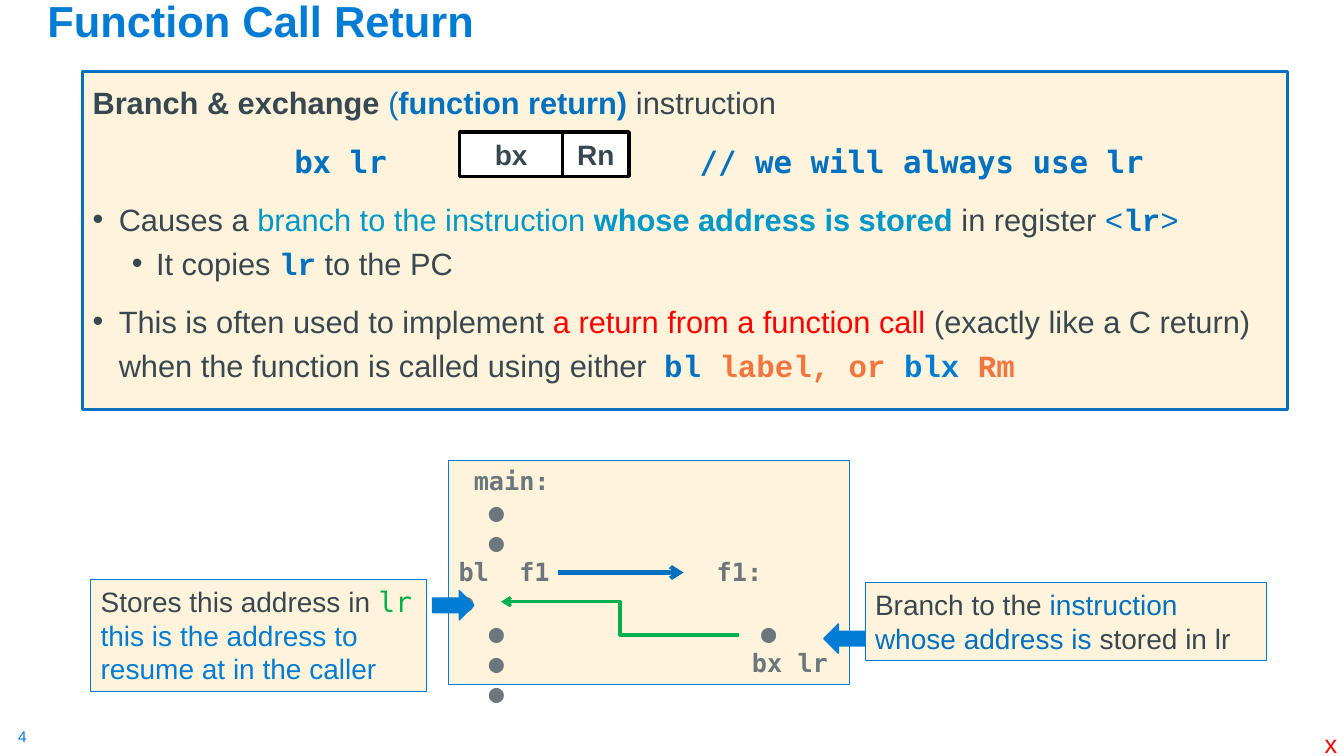
import pptx
import pptx.dml.color
import pptx.enum.shapes
import pptx.enum.text
import pptx.oxml
import pptx.oxml.ns
import pptx.util

Inches = pptx.util.Inches
Pt = pptx.util.Pt
RGBColor = pptx.dml.color.RGBColor
Shape = pptx.enum.shapes.MSO_SHAPE
Connector = pptx.enum.shapes.MSO_CONNECTOR
Anchor = pptx.enum.text.MSO_ANCHOR
Align = pptx.enum.text.PP_ALIGN

BLUE = RGBColor(0x00, 0x7C, 0xD5)
DEEP_BLUE = RGBColor(0x00, 0x70, 0xC0)
TEAL = RGBColor(0x00, 0x98, 0xC9)
SLATE = RGBColor(0x38, 0x48, 0x51)
GRAY = RGBColor(0x6B, 0x76, 0x7D)
CREAM = RGBColor(0xFF, 0xF4, 0xDB)
ORANGE = RGBColor(0xF3, 0x75, 0x3F)
GREEN = RGBColor(0x00, 0xB0, 0x50)
RED = RGBColor(0xFF, 0x00, 0x00)
WHITE = RGBColor(0xFF, 0xFF, 0xFF)
BLACK = RGBColor(0x00, 0x00, 0x00)

SANS = "Arial"
COURIER = "Courier New"
MONO = "DejaVu Sans Mono"


def add_element(parent, tag, **attributes):
    """Append a drawing element with the given attributes."""
    child = pptx.oxml.parse_xml(f"<a:{tag} {pptx.oxml.ns.nsdecls('a')}/>")
    for name, value in attributes.items():
        child.set(name, str(value))
    parent.append(child)
    return child


def add_runs(para, size, runs):
    """Add (text, colour, bold, font) runs to a paragraph."""
    for text, color, bold, font in runs:
        span = para.add_run()
        span.text = text
        span.font.size = Pt(size)
        span.font.name = font
        span.font.bold = bold
        span.font.color.rgb = color


def next_para(frame):
    """Return the empty first paragraph or a new one."""
    first = frame.paragraphs[0]
    return frame.add_paragraph() if first.runs else first


def write(frame, size, runs, align=Align.LEFT, tabs=(), bullet=None, level=0, spacing=1.0, before=0):
    """Write one paragraph with its tab stops or its (margin, indent) bullet."""
    para = next_para(frame)
    para.alignment = align
    para.level = level
    para.line_spacing = spacing
    para.space_before = Pt(before)
    properties = para._p.get_or_add_pPr()
    if bullet:
        margin, indent = bullet
        properties.set("marL", str(Inches(margin)))
        properties.set("indent", str(Inches(indent)))
        add_element(properties, "buFont", typeface=SANS)
        add_element(properties, "buChar", char="•")
    if tabs:
        stops = add_element(properties, "tabLst")
        for stop in tabs:
            add_element(stops, "tab", pos=Inches(stop), algn="l")
    add_runs(para, size, runs)


def add_box(page, left, top, width, height, fill, line, weight, kind=Shape.RECTANGLE, anchor=Anchor.TOP):
    """Add a filled, outlined shape and return it."""
    box = page.shapes.add_shape(kind, Inches(left), Inches(top), Inches(width), Inches(height))
    box.shadow.inherit = False
    box.fill.solid()
    box.fill.fore_color.rgb = fill
    box.line.color.rgb = line
    box.line.width = Pt(weight)
    box.text_frame.word_wrap = True
    box.text_frame.vertical_anchor = anchor
    return box


def add_label(page, left, top, width, height, size, text, color, inset):
    """Add a short unwrapped label."""
    frame = page.shapes.add_textbox(Inches(left), Inches(top), Inches(width), Inches(height)).text_frame
    frame.word_wrap = False
    frame.margin_left = frame.margin_right = Inches(inset)
    frame.margin_top = frame.margin_bottom = Inches(inset / 2)
    write(frame, size, [(text, color, False, SANS)])


def add_arrow(page, kind, start, end, color, weight):
    """Add a connector with an open arrowhead at its end."""
    points = [Inches(value) for value in (*start, *end)]
    arrow = page.shapes.add_connector(kind, *points)
    arrow.line.color.rgb = color
    arrow.line.width = Pt(weight)
    add_element(arrow.line._get_or_add_ln(), "tailEnd", type="arrow")
    add_element(arrow._element.spPr, "effectLst")


def add_title(page, text):
    """Place and format the title."""
    title = page.shapes.title
    title.left, title.top = Inches(0.37), Inches(0.08)
    title.width, title.height = Inches(12.87), Inches(0.44)
    title.text_frame.vertical_anchor = Anchor.BOTTOM
    write(title.text_frame, 31, [(text, BLUE, True, SANS)], spacing=0.9)


def add_explanation(page):
    """Add the panel that explains the instruction."""
    frame = add_box(page, 0.82, 0.71, 11.95, 3.35, CREAM, DEEP_BLUE, 2.25).text_frame
    write(frame, 22, [
        ("Branch & exchange ", SLATE, True, SANS),
        ("(", DEEP_BLUE, False, SANS),
        ("function return) ", DEEP_BLUE, True, SANS),
        ("instruction", SLATE, False, SANS),
    ], spacing=1.2)
    write(frame, 22, [("\tbx lr\t// we will always use lr", DEEP_BLUE, True, MONO)],
          tabs=(2, 6.02), spacing=1.2, before=10)
    write(frame, 22, [
        ("Causes a ", SLATE, False, SANS),
        ("branch to the instruction ", TEAL, False, SANS),
        ("whose address is stored", TEAL, True, SANS),
        (" in register ", SLATE, False, SANS),
        ("<", DEEP_BLUE, False, COURIER),
        ("lr", DEEP_BLUE, True, COURIER),
        (">", DEEP_BLUE, False, COURIER),
    ], bullet=(0.26, -0.26), spacing=1.2, before=10)
    write(frame, 22, [
        ("It copies ", SLATE, False, SANS),
        ("lr", DEEP_BLUE, True, COURIER),
        (" to the PC", SLATE, False, SANS),
    ], bullet=(0.63, -0.24), level=1, before=5)
    write(frame, 22, [
        ("This is often used to implement ", SLATE, False, SANS),
        ("a return from a function call ", RED, False, SANS),
        ("(exactly like a C return) when the function is called using either  ", SLATE, False, SANS),
        ("bl ", DEEP_BLUE, True, COURIER),
        ("label, or ", ORANGE, True, COURIER),
        ("blx", BLUE, True, COURIER),
        (" Rm", ORANGE, True, COURIER),
    ], bullet=(0.26, -0.26), spacing=1.2, before=10)


def add_encoding(page):
    """Add the two fields of the instruction."""
    for left, width, text in ((4.56, 1.02, "bx"), (5.58, 0.66, "Rn")):
        box = add_box(page, left, 1.31, width, 0.44, WHITE, BLACK, 2.5, anchor=Anchor.MIDDLE)
        write(box.text_frame, 20, [(text, SLATE, True, SANS)], align=Align.CENTER)


def add_call_flow(page):
    """Add the code panel with its call and return arrows."""
    frame = add_box(page, 4.45, 4.57, 3.98, 2.22, CREAM, BLUE, 0.75).text_frame
    lines = (
        (" main:", ()), ("  ●", ()), ("  ●", ()), ("bl  f1\tf1:", (2.56,)),
        ("●", ()), ("  ●\t●", (3,)), ("  ●\tbx lr", (2.91,)), ("  ●", ()),
    )
    for text, tabs in lines:
        write(frame, 18, [(text, GRAY, True, MONO)], tabs=tabs)
    add_arrow(page, Connector.STRAIGHT, (5.53, 5.68), (6.78, 5.68), DEEP_BLUE, 3)
    add_arrow(page, Connector.ELBOW, (7.33, 6.3), (4.97, 5.97), GREEN, 2.25)


def add_callout(page, left, top, width, height, paragraphs, arrow_left, arrow_top, turn):
    """Add a note with a block arrow that points at the code."""
    frame = add_box(page, left, top, width, height, CREAM, BLUE, 0.75).text_frame
    for runs in paragraphs:
        write(frame, 20, runs)
    arrow = add_box(page, arrow_left, arrow_top, 0.41, 0.29, BLUE, BLUE, 1, Shape.RIGHT_ARROW)
    arrow.rotation = turn


def main():
    """Build the slide and save it."""
    deck = pptx.Presentation()
    deck.slide_width, deck.slide_height = Inches(13.33), Inches(7.5)
    page = deck.slides.add_slide(deck.slide_layouts[5])
    add_title(page, "Function Call Return")
    add_explanation(page)
    add_encoding(page)
    add_call_flow(page)
    add_callout(page, 8.58, 5.78, 3.98, 0.77, [[
        ("Branch to the ", SLATE, False, SANS),
        ("instruction whose address is ", DEEP_BLUE, False, SANS),
        ("stored in lr", SLATE, False, SANS),
    ]], 8.17, 6.19, 180)
    add_callout(page, 0.9, 5.75, 3.33, 1.11, [
        [("Stores this address in ", SLATE, False, SANS), ("lr", GREEN, False, MONO)],
        [("this is the address to resume at in the caller", BLUE, False, SANS)],
    ], 4.29, 5.86, 0)
    add_label(page, 0.18, 7.21, 0.19, 0.19, 11, "4", BLUE, 0)
    add_label(page, 13.04, 7.18, 0.33, 0.4, 18, "x", RED, 0.1)
    deck.save("out.pptx")


if __name__ == "__main__":
    main()
